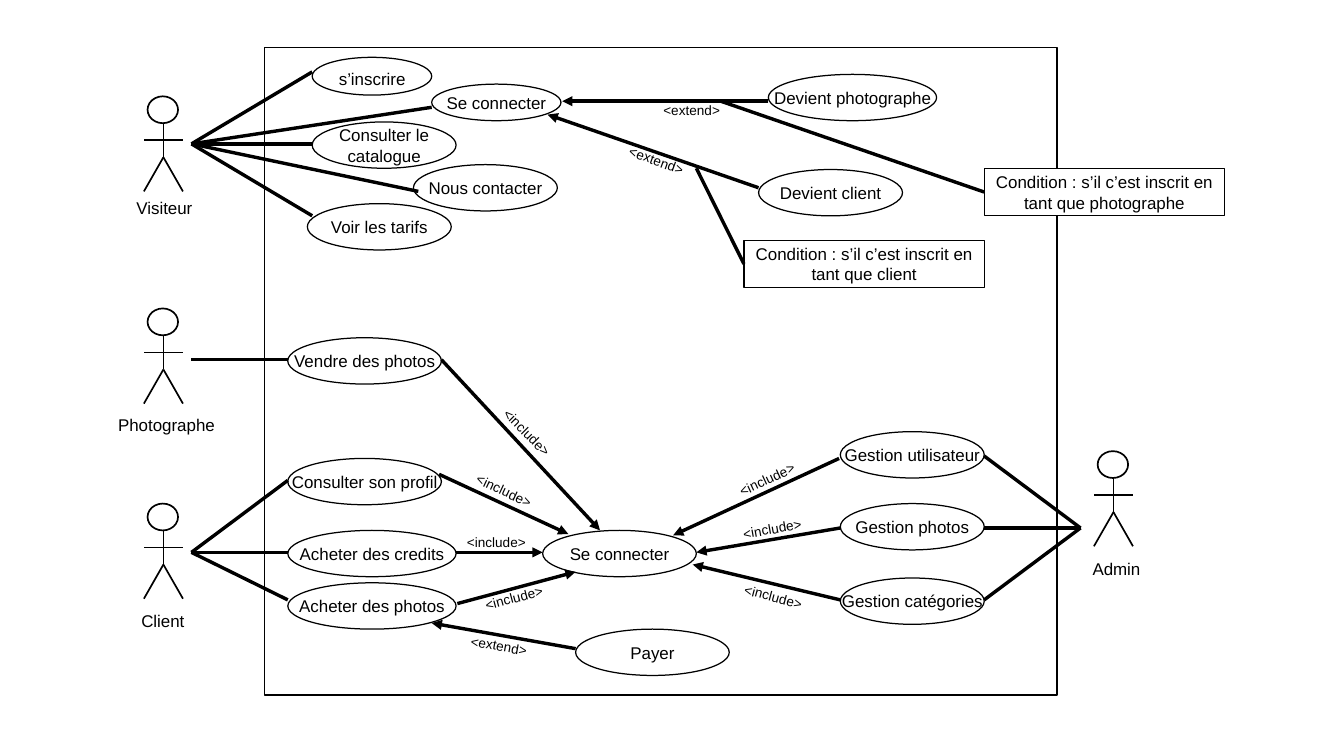
from dataclasses import dataclass
from lxml import etree
from pptx import Presentation
from pptx.dml.color import RGBColor
from pptx.enum.shapes import MSO_CONNECTOR, MSO_SHAPE
from pptx.enum.text import MSO_ANCHOR, PP_ALIGN
from pptx.oxml.ns import qn
from pptx.util import Inches, Pt

STRAIGHT = MSO_CONNECTOR.STRAIGHT
OVAL, RECT = MSO_SHAPE.OVAL, MSO_SHAPE.RECTANGLE
MIDDLE, TOP = MSO_ANCHOR.MIDDLE, MSO_ANCHOR.TOP
CENTER, LEFT = PP_ALIGN.CENTER, PP_ALIGN.LEFT
LEFT_SIDE = 1


@dataclass(frozen=True)
class Theme:
    ink: RGBColor = RGBColor(0, 0, 0)
    paper: RGBColor = RGBColor(255, 255, 255)
    font: str = "Arial"
    text: int = 10
    small: int = 8
    hairline: int = 0
    bold_line: int = 1


THEME = Theme()
SYSTEM = (2.17, 0.39, 6.5, 5.31)
CASE_H = 0.38
TAG_W, TAG_H = 0.79, 0.22

ACTORS = [(1.34, 0.79), (1.34, 2.53), (1.34, 4.13), (9.13, 3.7)]
ACTOR_LIMBS = [
    ((0, 0.22), (0, 0.5)),
    ((0, 0.5), (-0.16, 0.78)),
    ((0, 0.5), (0.16, 0.78)),
    ((0.16, 0.36), (-0.16, 0.36)),
]
LABELS = [
    ("Visiteur", 1.02, 1.57, 0.98, 0.25),
    ("Photographe", 0.87, 3.35, 1.18, 0.41),
    ("Client", 1.06, 4.96, 0.79, 0.41),
    ("Admin", 8.86, 4.53, 0.98, 0.25),
    ("s’inscrire", 2.68, 0.51, 0.98, 0.37),
]
CASES = [
    ("", 2.56, 0.47, 0.98, 0.31),
    ("Se connecter", 3.54, 0.69, 1.06, 0.3),
    ("Consulter le\ncatalogue", 2.56, 1, 1.18, CASE_H),
    ("Nous contacter", 3.39, 1.35, 1.18, CASE_H),
    ("Voir les tarifs", 2.52, 1.67, 1.18, CASE_H),
    ("Devient photographe", 6.3, 0.61, 1.38, CASE_H),
    ("Devient client", 6.22, 1.39, 1.18, CASE_H),
    ("Vendre des photos", 2.36, 2.77, 1.26, CASE_H),
    ("Consulter son profil", 2.36, 3.76, 1.26, CASE_H),
    ("Acheter des credits", 2.36, 4.35, 1.38, CASE_H),
    ("Acheter des photos", 2.36, 4.78, 1.38, CASE_H),
    ("Se connecter", 4.45, 4.35, 1.26, CASE_H),
    ("Payer", 4.72, 5.16, 1.26, CASE_H),
    ("Gestion utilisateur", 6.89, 3.54, 1.18, CASE_H),
    ("Gestion photos", 6.89, 4.13, 1.18, CASE_H),
    ("Gestion catégories", 6.89, 4.74, 1.18, CASE_H),
]
ASSOCIATIONS = {
    (1.57, 1.18): [(2.56, 0.59), (3.54, 0.88), (2.56, 1.18), (3.43, 1.57), (2.56, 1.77)],
    (1.57, 2.95): [(2.36, 2.95)],
    (1.57, 4.53): [(2.36, 3.94), (2.36, 4.53), (2.36, 4.92)],
    (8.86, 4.33): [(8.07, 3.74), (8.07, 4.33), (8.07, 4.92)],
}
DEPENDENCIES = [
    ("<extend>", (6.3, 0.83), (4.61, 0.83), (5.34, 0.79), 0),
    ("<extend>", (6.22, 1.54), (4.49, 0.94), (5.05, 1.22), 20),
    ("<include>", (3.62, 2.95), (4.92, 4.35), (3.97, 3.47), 45),
    ("<include>", (3.6, 3.89), (4.66, 4.38), (3.79, 3.93), 25),
    ("<include>", (3.74, 4.53), (4.45, 4.53), (3.73, 4.33), 0),
    ("<include>", (3.75, 4.95), (4.72, 4.69), (3.87, 4.77), 345),
    ("<extend>", (4.72, 5.32), (3.54, 5.11), (3.76, 5.19), 10),
    ("<include>", (6.88, 3.76), (5.52, 4.39), (5.94, 3.79), 335),
    ("<include>", (6.89, 4.33), (5.71, 4.53), (5.99, 4.21), 350),
    ("<include>", (6.89, 4.92), (5.68, 4.63), (6, 4.79), 15),
]
CONDITIONS = [
    ("Condition\u00a0: s’il c’est inscrit en\ntant que photographe", (8.07, 1.38), (5.91, 0.83)),
    ("Condition\u00a0: s’il c’est inscrit en\ntant que client", (6.1, 1.97), (5.71, 1.38)),
]
CONDITION_W, CONDITION_H = 1.97, 0.39


def write(s, text, size, align, anchor, wrap):
    tf = s.text_frame
    tf.text = text
    tf.word_wrap = wrap
    tf.vertical_anchor = anchor
    for p in tf.paragraphs:
        p.alignment = align
        for r in p.runs:
            r.font.name = THEME.font
            r.font.size = Pt(size)
            r.font.color.rgb = THEME.ink


def add_outline(shapes, kind, box, width, text="", fill=None):
    s = shapes.add_shape(kind, *map(Inches, box))
    s.shadow.inherit = False
    if fill is None:
        s.fill.background()
    else:
        s.fill.solid()
        s.fill.fore_color.rgb = fill
    s.line.color.rgb = THEME.ink
    s.line.width = Pt(width)
    if text:
        write(s, text, THEME.text, CENTER, MIDDLE, False)
    return s


def add_label(shapes, text, box, size, angle=0):
    s = shapes.add_textbox(*map(Inches, box))
    s.rotation = angle
    write(s, text, size, LEFT, TOP, True)


def add_line(shapes, start, end, width, arrow=False):
    c = shapes.add_connector(STRAIGHT, *map(Inches, start + end))
    c.line.color.rgb = THEME.ink
    c.line.width = Pt(width)
    if arrow:
        etree.SubElement(c.line._get_or_add_ln(), qn("a:tailEnd"), type="triangle")
    etree.SubElement(c._element.spPr, qn("a:effectLst"))
    return c


def add_actor(shapes, x, y):
    for (x1, y1), (x2, y2) in ACTOR_LIMBS:
        add_line(shapes, (x + x1, y + y1), (x + x2, y + y2), THEME.bold_line)
    add_outline(shapes, OVAL, (x - 0.13, y, 0.25, 0.22), THEME.bold_line)


def main():
    prs = Presentation()
    prs.slide_width, prs.slide_height = Inches(11.02), Inches(6.2)
    slide = prs.slides.add_slide(prs.slide_layouts[6])
    shapes = slide.shapes

    add_outline(shapes, RECT, SYSTEM, THEME.bold_line)
    for x, y in ACTORS:
        add_actor(shapes, x, y)
    for text, *box in CASES:
        add_outline(shapes, OVAL, box, THEME.hairline, text)
    for text, *box in LABELS:
        add_label(shapes, text, box, THEME.text)
    for actor, targets in ASSOCIATIONS.items():
        for target in targets:
            add_line(shapes, actor, target, THEME.hairline)
    for text, start, end, at, angle in DEPENDENCIES:
        add_line(shapes, start, end, THEME.hairline, arrow=True)
        add_label(shapes, text, at + (TAG_W, TAG_H), THEME.small, angle)
    for text, (x, y), start in CONDITIONS:
        box = (x, y, CONDITION_W, CONDITION_H)
        s = add_outline(shapes, RECT, box, THEME.hairline, text, THEME.paper)
        c = add_line(shapes, start, (x, y + CONDITION_H / 2), THEME.hairline)
        c.end_connect(s, LEFT_SIDE)

    prs.save("out.pptx")


if __name__ == "__main__":
    main()
